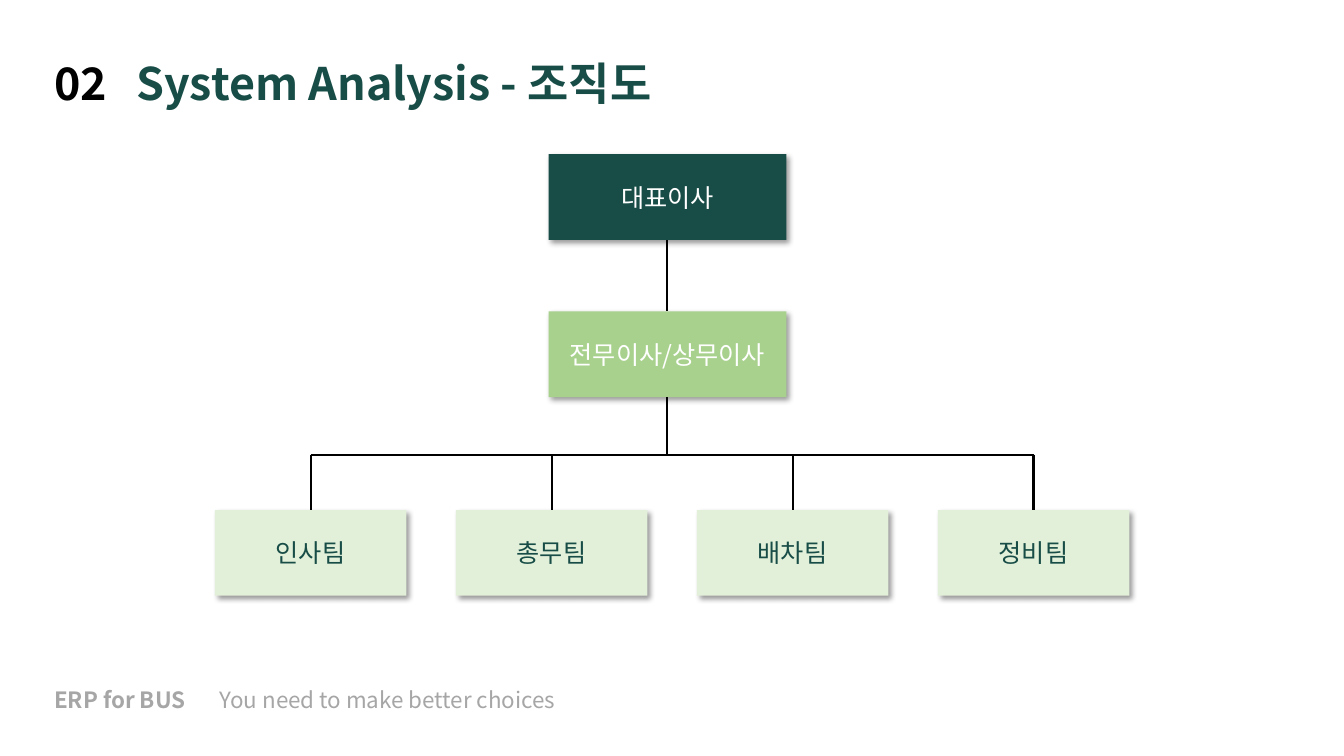
from lxml import etree
from pptx import Presentation
from pptx import util as u
from pptx.dml.color import RGBColor
from pptx.enum import shapes, text
from pptx.oxml.ns import qn

BLACK = RGBColor(0x00, 0x00, 0x00)
WHITE = RGBColor(0xFF, 0xFF, 0xFF)
GREY = RGBColor(0xA6, 0xA6, 0xA6)
DARK_GREEN = RGBColor(0x18, 0x4D, 0x47)
GREEN = RGBColor(0xA9, 0xD1, 0x8E)
PALE_GREEN = RGBColor(0xE2, 0xF0, 0xD9)


class OrgSlide:
    """Draws on one slide; all lengths are percent of its width or height."""

    font = "Noto Sans CJK KR"
    line_width = u.Pt(1.5)

    def __init__(self, prs):
        self.width, self.height = prs.slide_width, prs.slide_height
        self.slide = prs.slides.add_slide(prs.slide_layouts[6])

    def x(self, share):
        return round(self.width * share / 100)

    def y(self, share):
        return round(self.height * share / 100)

    def frame(self, left, top, width, height):
        return self.x(left), self.y(top), self.x(width), self.y(height)

    def style(self, r, size, color, bold=False):
        r.font.size, r.font.bold = u.Pt(size), bold
        r.font.name = self.font
        r.font.color.rgb = color
        etree.SubElement(r.font._element, qn("a:ea"), typeface=self.font)

    def heading(self, place, tab, size, parts, anchor, spacing=None):
        """Add a text box of (words, color, bold) parts with one tab stop."""
        tf = self.slide.shapes.add_textbox(*self.frame(*place)).text_frame
        tf.word_wrap = True
        tf.vertical_anchor = anchor
        p = tf.paragraphs[0]
        p.line_spacing = spacing
        tabs = etree.SubElement(p._p.get_or_add_pPr(), qn("a:tabLst"))
        etree.SubElement(tabs, qn("a:tab"), pos=str(self.x(tab)), algn="l")
        for words, color, bold in parts:
            r = p.add_run()
            r.text = words
            self.style(r, size, color, bold)
        return tf

    def box(self, center, top, width, height, label, fill, color):
        place = self.frame(center - width / 2, top, width, height)
        sp = self.slide.shapes.add_shape(shapes.MSO_SHAPE.RECTANGLE, *place)
        sp.fill.solid()
        sp.fill.fore_color.rgb = fill
        sp.line.fill.background()
        self.cast_shadow(sp)
        tf = sp.text_frame
        tf.text = label
        tf.word_wrap = True
        tf.vertical_anchor = text.MSO_ANCHOR.MIDDLE
        p = tf.paragraphs[0]
        p.alignment = text.PP_ALIGN.CENTER
        self.style(p.runs[0], 18, color)

    def cast_shadow(self, sp):
        sp.shadow.inherit = False
        effects = sp._element.spPr.find(qn("a:effectLst"))
        shadow = etree.SubElement(
            effects, qn("a:outerShdw"), blurRad=str(u.Pt(4)), dist=str(u.Pt(3)),
            dir="2700000", algn="tl", rotWithShape="0")
        tint = etree.SubElement(shadow, qn("a:srgbClr"), val=str(BLACK))
        etree.SubElement(tint, qn("a:alpha"), val="40000")

    def line(self, x1, y1, x2, y2):
        cn = self.slide.shapes.add_connector(
            shapes.MSO_CONNECTOR.STRAIGHT,
            self.x(x1), self.y(y1), self.x(x2), self.y(y2))
        cn.line.color.rgb = BLACK
        cn.line.width = self.line_width
        etree.SubElement(cn._element.spPr, qn("a:effectLst"))


def main():
    prs = Presentation()
    prs.slide_width, prs.slide_height = u.Inches(13.33), u.Inches(7.5)
    s = OrgSlide(prs)

    footer = s.heading(
        (3.3, 90.13, 49.2, 4.93), 12.3, 16,
        [("ERP for BUS", GREY, True),
         ("\tYou need to make better choices", GREY, False)],
        text.MSO_ANCHOR.TOP)
    footer.auto_size = text.MSO_AUTO_SIZE.SHAPE_TO_FIT_TEXT
    s.heading(
        (3.3, 5.2, 48.54, 10), 6.1, 32,
        [("02\t", BLACK, True), ("System Analysis - 조직도", DARK_GREEN, True)],
        text.MSO_ANCHOR.BOTTOM, spacing=0.9)

    axis, box_height = 49.66, 11.33
    chief_top, deputy_top, branch, team_top = 20.4, 41.2, 60.13, 67.47
    for top, label, fill, below in (
            (chief_top, "대표이사", DARK_GREEN, deputy_top),
            (deputy_top, "전무이사/상무이사", GREEN, branch)):
        s.box(axis, top, 17.7, box_height, label, fill, WHITE)
        s.line(axis, top + box_height, axis, below)

    teams = ("인사팀", "총무팀", "배차팀", "정비팀")
    centers = [23.11 + 17.93 * i for i in range(len(teams))]
    s.line(centers[0], branch, centers[-1], branch)
    for center, team in zip(centers, teams):
        s.box(center, team_top, 14.25, box_height, team, PALE_GREEN, DARK_GREEN)
        s.line(center, branch, center, team_top)

    prs.save("out.pptx")


if __name__ == "__main__":
    main()
